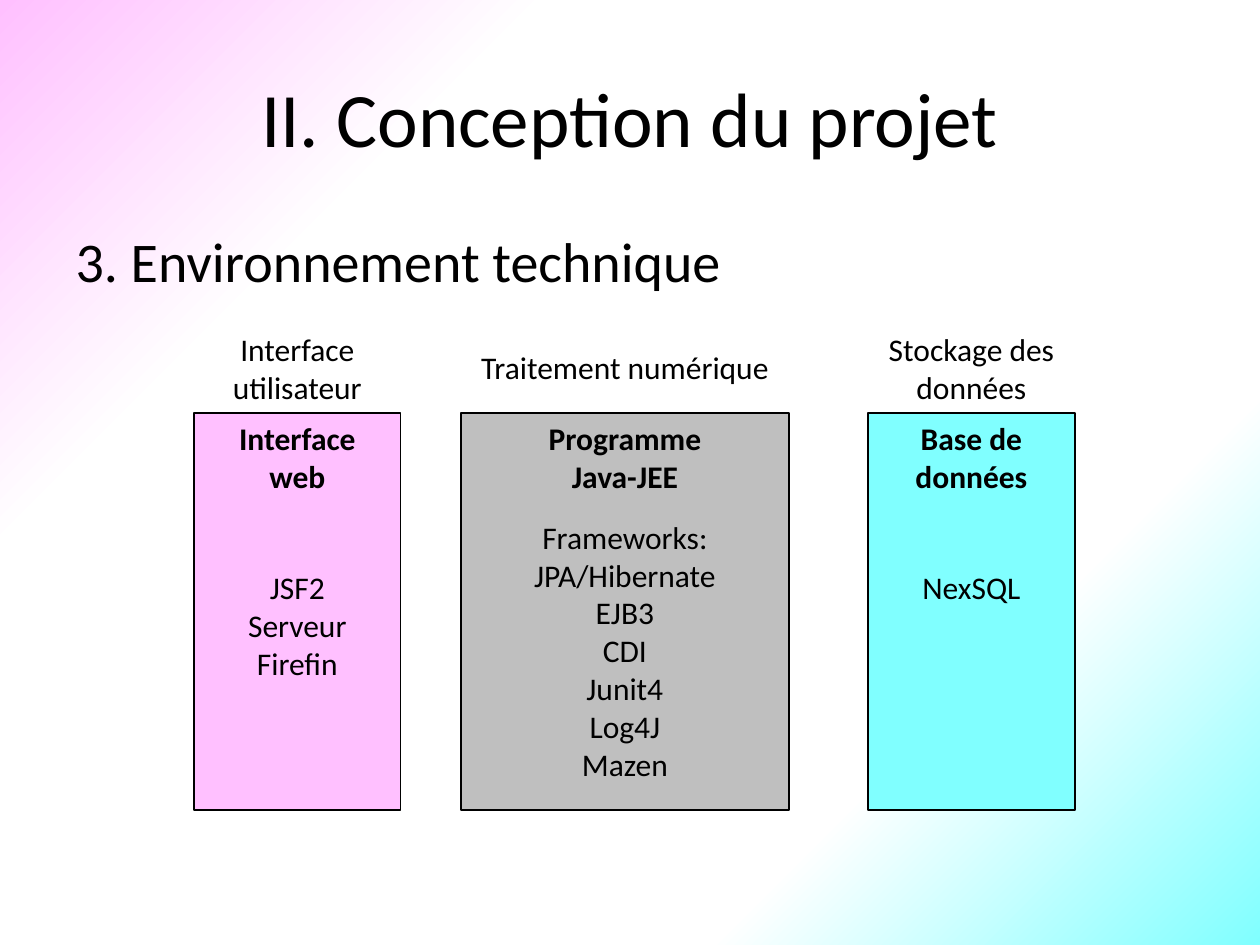
import copy

import pptx
import pptx.dml.color
import pptx.enum.shapes
import pptx.enum.text
import pptx.oxml
import pptx.oxml.ns
import pptx.util

Inches = pptx.util.Inches
RGBColor = pptx.dml.color.RGBColor

BLACK = RGBColor(0x00, 0x00, 0x00)
WHITE = RGBColor(0xFF, 0xFF, 0xFF)
PINK = RGBColor(0xFF, 0xC0, 0xFF)
GREY = RGBColor(0xBF, 0xBF, 0xBF)
CYAN = RGBColor(0x80, 0xFF, 0xFF)

BOX_TOP, BOX_HEIGHT = 3.28, 3.15
HEADING_HEIGHT = 0.71

# left, width, colour, (caption, top, height), heading, (details, top, height)
TIERS = [
    (1.54, 1.64, PINK, ("Interface utilisateur", 2.57, 0.71),
     "Interface\nweb", ("JSF2\nServeur Firefin", 4.46, 1.01)),
    (3.66, 2.6, GREY, ("Traitement numérique", 2.71, 0.4),
     "Programme\nJava-JEE",
     ("Frameworks:\nJPA/Hibernate\nEJB3\nCDI\nJunit4\nLog4J\nMazen", 4.06, 2.22)),
    (6.89, 1.64, CYAN, ("Stockage des données", 2.57, 0.71),
     "Base de données", ("NexSQL", 4.46, 0.4)),
]


class SlideBuilder:
    font = "Calibri"
    label_size = 18

    def __init__(self, deck):
        self.page = deck.slides.add_slide(deck.slide_layouts[1])

    def background(self, stops, angle):
        """Fill the page with a gradient of (position, colour) stops."""
        fill = self.page.background.fill
        fill.gradient()
        fill.gradient_angle = angle
        stop_list = next(self.page.element.iter(pptx.oxml.ns.qn("a:gsLst")))
        while len(stop_list) < len(stops):
            stop_list.append(copy.deepcopy(stop_list[0]))
        for stop, (position, colour) in zip(fill.gradient_stops, stops):
            stop.position = position
            stop.color.rgb = colour

    def set_text(self, box, text, size, align, bold=False):
        box.text_frame.text = text
        for para in box.text_frame.paragraphs:
            para.alignment = align
            for span in para.runs:
                span.font.name = self.font
                span.font.size = pptx.util.Pt(size)
                span.font.bold = bold
                span.font.color.rgb = BLACK

    def place(self, holder, left, top, width, height):
        holder.left, holder.top = Inches(left), Inches(top)
        holder.width, holder.height = Inches(width), Inches(height)

    def title(self, text):
        holder = self.page.shapes.title
        self.place(holder, 0.5, 0.3, 9, 1.25)
        holder.text_frame.vertical_anchor = pptx.enum.text.MSO_ANCHOR.MIDDLE
        self.set_text(holder, text, 44, pptx.enum.text.PP_ALIGN.CENTER)

    def body(self, text):
        """Set the body as plain lines, without bullets."""
        holder = self.page.placeholders[1]
        self.place(holder, 0.5, 1.75, 9, 4.95)
        self.set_text(holder, text, 32, pptx.enum.text.PP_ALIGN.LEFT)
        for para in holder.text_frame.paragraphs:
            properties = para._p.get_or_add_pPr()
            properties.set("marL", "0")
            properties.set("indent", "0")
            properties.append(pptx.oxml.parse_xml(
                f"<a:buNone {pptx.oxml.ns.nsdecls('a')}/>"))

    def panel(self, left, top, width, height, colour):
        box = self.page.shapes.add_shape(
            pptx.enum.shapes.MSO_SHAPE.RECTANGLE,
            Inches(left), Inches(top), Inches(width), Inches(height))
        box.shadow.inherit = False
        box.fill.solid()
        box.fill.fore_color.rgb = colour
        box.line.color.rgb = BLACK
        box.line.width = pptx.util.Pt(1)

    def label(self, text, left, top, width, height, bold=False):
        box = self.page.shapes.add_textbox(
            Inches(left), Inches(top), Inches(width), Inches(height))
        box.text_frame.word_wrap = True
        box.text_frame.auto_size = pptx.enum.text.MSO_AUTO_SIZE.SHAPE_TO_FIT_TEXT
        self.set_text(box, text, self.label_size,
                      pptx.enum.text.PP_ALIGN.CENTER, bold)


def main():
    deck = pptx.Presentation()
    deck.slide_width, deck.slide_height = Inches(10), Inches(7.5)
    builder = SlideBuilder(deck)
    # Angles count anticlockwise: 315 runs from top left to bottom right.
    builder.background([(0, PINK), (0.25, WHITE), (0.75, WHITE), (1, CYAN)], 315)
    builder.title("II. Conception du projet")
    builder.body("3. Environnement technique")
    for left, width, colour, caption, heading, details in TIERS:
        builder.panel(left, BOX_TOP, width, BOX_HEIGHT, colour)
        builder.label(heading, left, BOX_TOP, width, HEADING_HEIGHT, bold=True)
        for text, top, height in (caption, details):
            builder.label(text, left, top, width, height)
    deck.save("out.pptx")


if __name__ == "__main__":
    main()
